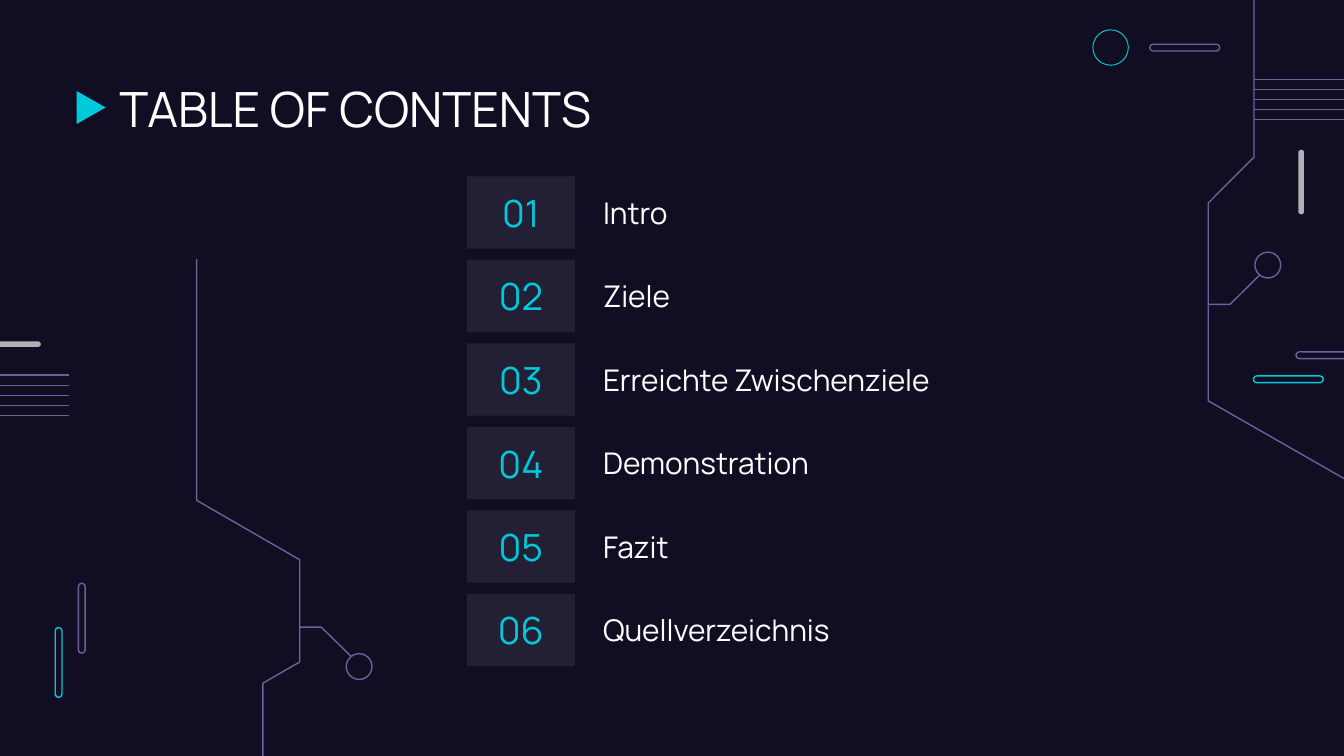
"""Build a dark table of contents slide with circuit-style decoration."""
from lxml import etree
from pptx import Presentation
from pptx.dml.color import RGBColor
from pptx.enum import shapes, text
from pptx.oxml import ns
from pptx.util import Pt

COLORS = {"bg": "110E24", "cyan": "00CADA", "purple": "69639C",
          "grey": "AFAFB6", "white": "FFFFFF"}
FONT = "Manrope"
TITLE = "TABLE OF CONTENTS"
CHAPTERS = ["Intro", "Ziele", "Erreichte Zwischenziele",
            "Demonstration", "Fazit", "Quellverzeichnis"]

PILL_LONG, PILL_SHORT = 37.4, 3.6
BAR_LONG, BAR_SHORT = 34.7, 3
PILLS = [
    (29.6, 336.2, PILL_SHORT, PILL_LONG, "cyan"),
    (42, 312.5, PILL_SHORT, PILL_LONG, "purple"),
    (671.5, 201.4, PILL_LONG, PILL_SHORT, "cyan"),
    (694.3, 188.5, PILL_LONG, PILL_SHORT, "purple"),
    (616, 23.7, PILL_LONG, PILL_SHORT, "purple"),
]
BARS = [(695.6, 80.2, BAR_SHORT, BAR_LONG), (-12.8, 182.9, BAR_LONG, BAR_SHORT)]
CIRCLES = [(585.5, 16, 19, "cyan", 0.5),
           (672.3, 135.1, 13.8, "purple", 0.75),
           (185.5, 350.2, 13.8, "purple", 0.75)]
TRACES = [
    [(674.8, 147.5), (659, 163.1), (647.3, 163.1)],
    [(728.4, 261.2), (647.3, 214.8), (647.3, 108.8), (671.8, 84.2), (671.8, -4.3)],
    [(188, 351.6), (172.1, 336), (160.6, 336)],
    [(105.3, 138.8), (105.3, 268), (160.6, 299.9), (160.6, 354.6),
     (140.8, 366), (140.8, 411)],
]
STRIPES = [(671.8, 777.6, 42.6), (37.2, -43.9, 201)]
STRIPE_COUNT, STRIPE_GAP = 5, 5.38

ROW_TOP, ROW_PITCH, ROW_H = 94.5, 44.74, 38.7
NUM_X, NUM_W = 250.1, 57.9
NAME_X, NAME_W = 316, 213.8

prs = Presentation()
prs.slide_width, prs.slide_height = Pt(720), Pt(405)
s = prs.slides.add_slide(prs.slide_layouts[6])


def rgb(name):
    return RGBColor.from_string(COLORS[name])


def style(sp, fill=None, line=None, width=0.75):
    sp.shadow.inherit = False
    if fill:
        sp.fill.solid()
        sp.fill.fore_color.rgb = rgb(fill)
    else:
        sp.fill.background()
    if line:
        sp.line.color.rgb = rgb(line)
        sp.line.width = Pt(width)
    else:
        sp.line.fill.background()


def add_shape(kind, x, y, w, h, **fmt):
    sp = s.shapes.add_shape(kind, Pt(x), Pt(y), Pt(w), Pt(h))
    style(sp, **fmt)
    return sp


def write(sp, content, size, color="white", align=text.PP_ALIGN.LEFT,
          anchor=text.MSO_ANCHOR.MIDDLE):
    tf = sp.text_frame
    tf.word_wrap = True
    tf.vertical_anchor = anchor
    tf.margin_left = tf.margin_right = tf.margin_top = tf.margin_bottom = Pt(7.2)
    p = tf.paragraphs[0]
    p.alignment = align
    r = p.add_run()
    r.text = content
    r.font.name, r.font.size = FONT, Pt(size)
    r.font.color.rgb = rgb(color)


def add_text(x, y, w, h, content, size, **fmt):
    write(s.shapes.add_textbox(Pt(x), Pt(y), Pt(w), Pt(h)), content, size, **fmt)


s.background.fill.solid()
s.background.fill.fore_color.rgb = rgb("bg")

for *box, color in PILLS:
    sp = add_shape(shapes.MSO_SHAPE.ROUNDED_RECTANGLE, *box, line=color)
    sp.adjustments[0] = 0.5
for box in BARS:
    sp = add_shape(shapes.MSO_SHAPE.ROUNDED_RECTANGLE, *box, fill="grey")
    sp.adjustments[0] = 0.5
for x, y, d, color, width in CIRCLES:
    add_shape(shapes.MSO_SHAPE.OVAL, x, y, d, d, line=color, width=width)

for trace in TRACES:
    start, *rest = [(Pt(x), Pt(y)) for x, y in trace]
    fb = s.shapes.build_freeform(*start)
    fb.add_line_segments(rest, close=False)
    style(fb.convert_to_shape(), line="purple")

for x1, x2, top in STRIPES:
    for i in range(STRIPE_COUNT):
        y = Pt(top + i * STRIPE_GAP)
        cx = s.shapes.add_connector(shapes.MSO_CONNECTOR.STRAIGHT, Pt(x1), y, Pt(x2), y)
        cx.line.color.rgb = rgb("purple")
        cx.line.width = Pt(0.75)
        etree.SubElement(cx._element.spPr, ns.qn("a:effectLst"))

marker = add_shape(shapes.MSO_SHAPE.FLOWCHART_MERGE, 40, 49.8, 17.7, 15.6, fill="cyan")
marker.rotation = 270
add_text(56.9, 35.3, 607, 45.4, TITLE, 26, anchor=text.MSO_ANCHOR.TOP)

for i, chapter in enumerate(CHAPTERS):
    y = ROW_TOP + i * ROW_PITCH
    sp = add_shape(shapes.MSO_SHAPE.RECTANGLE, NUM_X, y, NUM_W, ROW_H, fill="white")
    tint = sp._element.spPr.find(".//" + ns.qn("a:srgbClr"))
    etree.SubElement(tint, ns.qn("a:alpha"), val="8000")
    write(sp, f"{i + 1:02d}", 20, color="cyan", align=text.PP_ALIGN.CENTER)
    add_text(NAME_X, y, NAME_W, ROW_H, chapter, 16)

prs.save("out.pptx")
